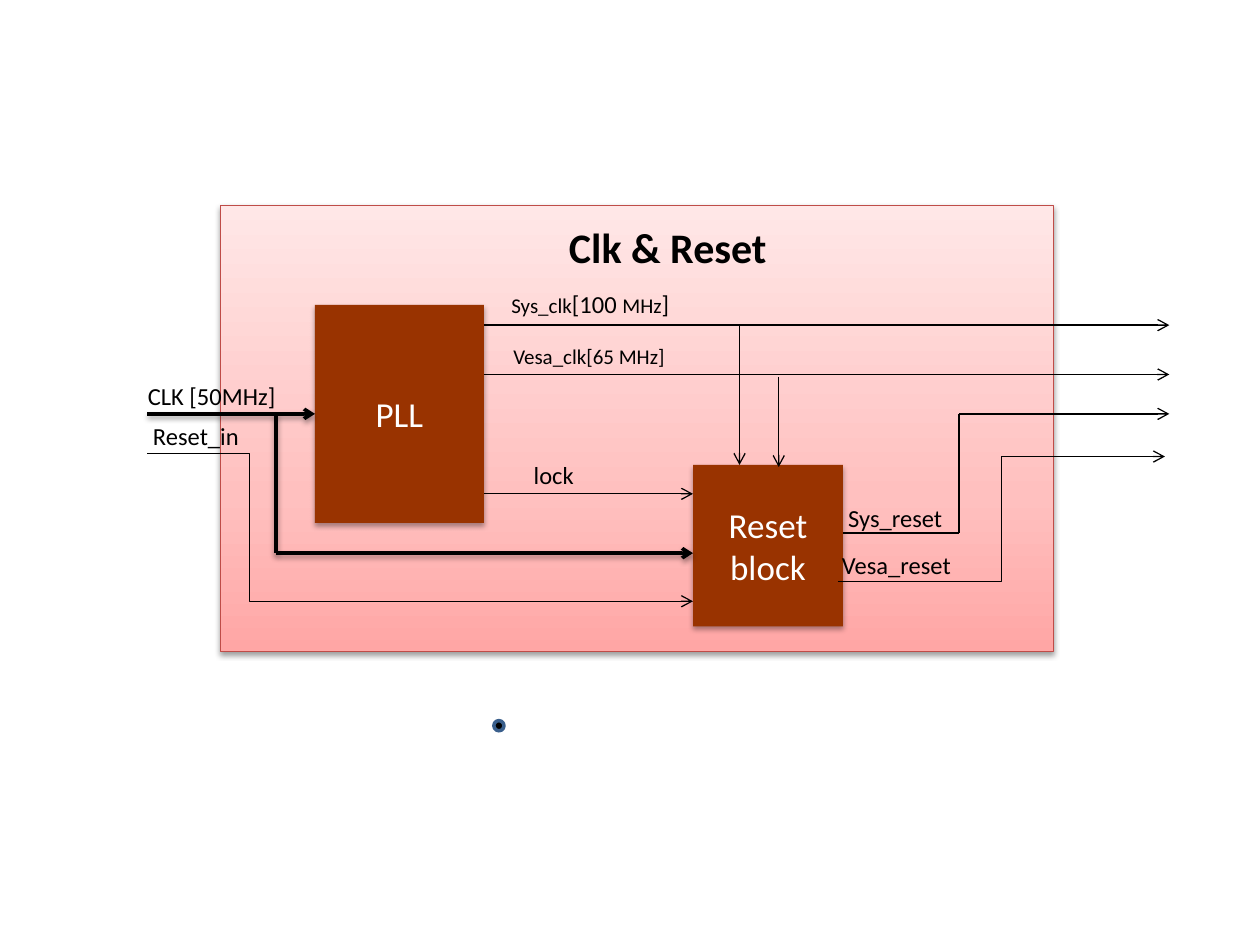
"""Build the clock and reset block diagram slide."""
from typing import NamedTuple, Optional

from lxml.etree import SubElement
from pptx import Presentation
from pptx.dml.color import RGBColor
from pptx.enum.shapes import MSO_CONNECTOR as CONN, MSO_SHAPE as SHAPE
from pptx.enum.text import MSO_ANCHOR as ANCHOR, MSO_AUTO_SIZE as AUTO, PP_ALIGN as ALIGN
from pptx.oxml.ns import qn
from pptx.util import Pt

BLACK, WHITE, BROWN = "000000", "FFFFFF", "993300"
PANEL_STOPS = ((0, "FFA6A5"), (35, "FFC0BF"), (100, "FFE7E7"))


class Block(NamedTuple):
    text: str
    x: float
    y: float
    w: float
    h: float


class Wire(NamedTuple):
    x1: float
    y1: float
    x2: float
    y2: float
    arrow: bool = True
    bold: bool = False
    bend: Optional[float] = None


class Label(NamedTuple):
    runs: tuple
    x: float
    y: float
    w: float
    h: float = 24.2


PLL = Block("PLL", 180, 174.2, 96.5, 124.6)
RESET = Block("Reset block", 396, 265.7, 85.7, 92.2)
PLL_RIGHT, RESET_RIGHT = PLL.x + PLL.w, RESET.x + RESET.w
PLL_MID = PLL.y + PLL.h / 2
IN_X, OUT_X, CLK_TAP, SYS_TURN = 84.2, 668.2, 157.7, 548
SYS_CLK, VESA_CLK, LOCK, CLK_LOW, SYS_RESET = 185.8, 214, 282.2, 316.1, 304.6

WIRES = (
    Wire(PLL_RIGHT, LOCK, RESET.x, LOCK),
    Wire(IN_X, 259.2, RESET.x, 343.6, bend=0.187),
    Wire(PLL_RIGHT, SYS_CLK, OUT_X, SYS_CLK),
    Wire(PLL_RIGHT, VESA_CLK, OUT_X, VESA_CLK),
    Wire(SYS_TURN, PLL_MID, OUT_X, PLL_MID),
    Wire(SYS_TURN, PLL_MID, SYS_TURN, SYS_RESET, arrow=False),
    Wire(SYS_TURN, SYS_RESET, RESET_RIGHT, SYS_RESET, arrow=False),
    Wire(CLK_TAP, PLL_MID, CLK_TAP, CLK_LOW, arrow=False, bold=True),
    Wire(CLK_TAP, CLK_LOW, RESET.x, CLK_LOW, bold=True),
    Wire(422.6, SYS_CLK, 422.6, RESET.y),
    Wire(445, 215.3, 445, 266.9),
    Wire(478.8, 332.3, 665.7, 260.9, bend=0.5),
)
LABELS = (
    Label((("lock", 14),), 288, 259.2, 56.9),
    Label((("Sys_reset", 14),), 472.3, 283.7, 78.5),
    Label((("Sys_clk", 12), ("[100 ", 14), ("MHz", 12), ("]", 14)), 277.9, 161.5, 118.8),
    Label((("Vesa_clk[65 MHz]", 12),), 262.8, 192.5, 147.6, 21.8),
    Label((("CLK [50MHz]", 14),), 72.7, 214, 96.5),
    Label((("Reset_in", 14),), 72.7, 236.9, 78.5),
    Label((("Vesa_reset", 14),), 473, 310.8, 78.5),
)


def rgb(value: str) -> RGBColor:
    """Turn a hex string into a colour."""
    return RGBColor.from_string(value)


def set_effect(shape, alpha: int = 0, dist: float = 1.6) -> None:
    """Give a shape a soft downward shadow, or none when alpha is zero."""
    sp_pr = shape._element.spPr
    for old in sp_pr.findall(qn("a:effectLst")):
        sp_pr.remove(old)
    effects = SubElement(sp_pr, qn("a:effectLst"))
    if alpha:
        shadow = SubElement(effects, qn("a:outerShdw"), blurRad=str(Pt(3.1)), dist=str(Pt(dist)),
                            dir="5400000", rotWithShape="0")
        color = SubElement(shadow, qn("a:srgbClr"), val=BLACK)
        SubElement(color, qn("a:alpha"), val=str(alpha * 1000))


def format_run(r, size: float, color: str = BLACK, bold: bool = False) -> None:
    """Set the font of one run."""
    r.font.name, r.font.size, r.font.bold = "Calibri", Pt(size), bold
    r.font.color.rgb = rgb(color)


def add_panel(s) -> None:
    """Draw the pink gradient panel."""
    sp = s.shapes.add_shape(SHAPE.RECTANGLE, Pt(126), Pt(117.5), Pt(476), Pt(255))
    sp.fill.gradient()
    sp.fill.gradient_angle = 90
    stops = sp._element.spPr.find(".//" + qn("a:gsLst"))
    for old in list(stops):
        stops.remove(old)
    for pos, color in PANEL_STOPS:
        stop = SubElement(stops, qn("a:gs"), pos=str(pos * 1000))
        SubElement(stop, qn("a:srgbClr"), val=color)
    sp.line.color.rgb, sp.line.width = rgb("BF4C48"), Pt(0.75)
    set_effect(sp, 38)


def add_block(s, block: Block):
    """Draw one brown block with its name."""
    sp = s.shapes.add_shape(SHAPE.RECTANGLE, Pt(block.x), Pt(block.y), Pt(block.w), Pt(block.h))
    sp.fill.solid()
    sp.fill.fore_color.rgb = rgb(BROWN)
    sp.line.fill.background()
    set_effect(sp, 35, 1.8)
    tf = sp.text_frame
    tf.text, tf.word_wrap, tf.vertical_anchor = block.text, True, ANCHOR.MIDDLE
    p = tf.paragraphs[0]
    p.alignment = ALIGN.CENTER
    format_run(p.runs[0], 20, WHITE)
    return sp


def add_wire(s, wire: Wire):
    """Draw one straight or bent signal line."""
    kind = CONN.STRAIGHT if wire.bend is None else CONN.ELBOW
    cxn = s.shapes.add_connector(kind, Pt(wire.x1), Pt(wire.y1), Pt(wire.x2), Pt(wire.y2))
    cxn.line.color.rgb, cxn.line.width = rgb(BLACK), Pt(2 if wire.bold else 0.75)
    if wire.bend is not None:
        guides = cxn._element.spPr.find(".//" + qn("a:avLst"))
        SubElement(guides, qn("a:gd"), name="adj1", fmla=f"val {round(wire.bend * 100000)}")
    if wire.arrow:
        SubElement(cxn.line._get_or_add_ln(), qn("a:tailEnd"), type="arrow")
    set_effect(cxn, 38 if wire.bold else 0)
    return cxn


def add_label(s, label: Label) -> None:
    """Write one centred signal name."""
    box = s.shapes.add_textbox(Pt(label.x), Pt(label.y), Pt(label.w), Pt(label.h))
    tf = box.text_frame
    tf.word_wrap, tf.auto_size = True, AUTO.SHAPE_TO_FIT_TEXT
    p = tf.paragraphs[0]
    p.alignment = ALIGN.CENTER
    for text, size in label.runs:
        r = p.add_run()
        r.text = text
        format_run(r, size)


def place_title(s) -> None:
    """Put the title inside the panel, in front of it."""
    title = s.shapes.title
    title.left, title.top, title.width, title.height = Pt(299.5), Pt(123.1), Pt(164.2), Pt(36)
    tf = title.text_frame
    tf.text, tf.word_wrap, tf.vertical_anchor = "Clk & Reset", True, ANCHOR.TOP
    tf.auto_size = AUTO.SHAPE_TO_FIT_TEXT
    p = tf.paragraphs[0]
    p.alignment = ALIGN.CENTER
    format_run(p.runs[0], 24, bold=True)
    s.shapes._spTree.append(title._element)


def add_dot(s) -> None:
    """Draw the small ringed dot below the panel."""
    dot = s.shapes.add_shape(SHAPE.FLOWCHART_CONNECTOR, Pt(282.2), Pt(411.8), Pt(5.8), Pt(5.8))
    dot.fill.solid()
    dot.fill.fore_color.rgb = rgb(BLACK)
    dot.line.color.rgb, dot.line.width = rgb("3A5F8C"), Pt(2)
    dot.shadow.inherit = False


def main() -> None:
    """Build and save the slide."""
    prs = Presentation()
    prs.slide_width, prs.slide_height = Pt(720), Pt(540)
    s = prs.slides.add_slide(prs.slide_layouts[5])
    add_panel(s)
    place_title(s)
    pll = add_block(s, PLL)
    add_block(s, RESET)
    add_wire(s, Wire(IN_X, PLL_MID, PLL.x, PLL_MID, bold=True)).end_connect(pll, 1)
    for wire in WIRES:
        add_wire(s, wire)
    for label in LABELS:
        add_label(s, label)
    add_dot(s)
    prs.save("out.pptx")


if __name__ == "__main__":
    main()
